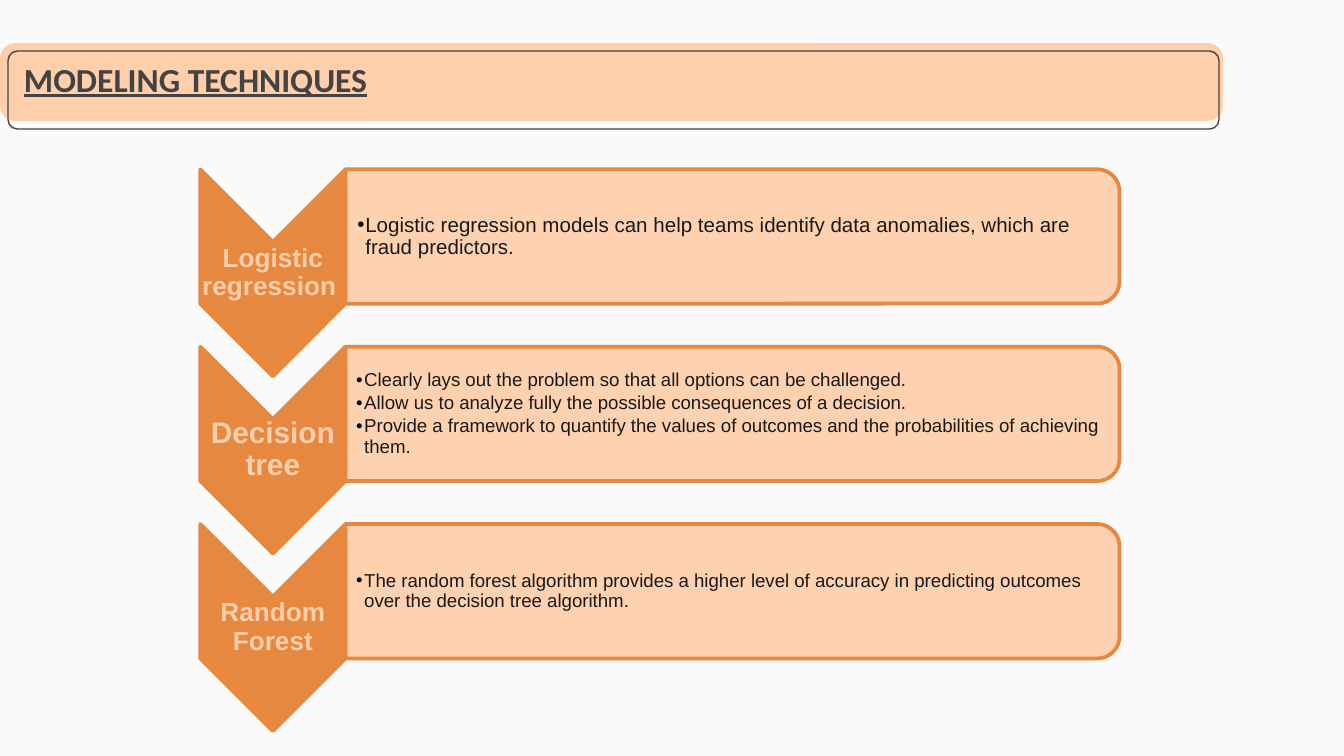
from dataclasses import dataclass

from lxml import etree
from pptx import Presentation
from pptx.dml.color import RGBColor
from pptx.enum.shapes import MSO_SHAPE as SHAPE
from pptx.enum.text import MSO_ANCHOR as ANCHOR, PP_ALIGN as ALIGN
from pptx.oxml.ns import qn
from pptx.util import Inches, Pt


@dataclass(frozen=True)
class Theme:
    background: str = "FAFAFA"
    peach: str = "FFCEAA"
    orange: str = "E78841"
    dark: str = "434343"
    body: str = "191919"
    bullet: str = "000000"
    title_font: str = "Calibri"
    body_font: str = "Arial"
    title_size: int = 18
    thin: float = 0.75
    thick: float = 2


T = Theme()

# Label, label size, bullet lines, bullet size
TECHNIQUES = [
    ("Logistic regression ", 14,
     ["Logistic regression models can help teams identify data anomalies, "
      "which are fraud predictors."], 11),
    ("Decision tree", 16,
     ["Clearly lays out the problem so that all options can be challenged.",
      "Allow us to analyze fully the possible consequences of a decision.",
      "Provide a framework to quantify the values of outcomes and the "
      "probabilities of achieving them."], 10),
    ("Random Forest", 14,
     ["The random forest algorithm provides a higher level of accuracy in "
      "predicting outcomes over the decision tree algorithm."], 10),
]


def rgb(color):
    return RGBColor.from_string(color)


def add_box(s, kind, x, y, w, h, fill=None, line=None, weight=T.thick, alpha=None):
    sp = s.shapes.add_shape(kind, Inches(x), Inches(y), Inches(w), Inches(h))
    sp.shadow.inherit = False
    if fill:
        sp.fill.solid()
        sp.fill.fore_color.rgb = rgb(fill)
    else:
        sp.fill.background()
    if alpha is not None:
        color = sp.fill._xPr.find(qn("a:solidFill"))[0]
        etree.SubElement(color, qn("a:alpha")).set("val", str(alpha * 1000))
    if line:
        sp.line.color.rgb = rgb(line)
        sp.line.width = Pt(weight)
    else:
        sp.line.fill.background()
    return sp


def add_turned(s, kind, x, y, w, h, **style):
    """Add a shape turned by 90 degrees that covers the given box."""
    sp = add_box(s, kind, x + (w - h) / 2, y + (h - w) / 2, h, w, **style)
    sp.rotation = 90
    return sp


def add_bullet(p, indent=0.06):
    pPr = p._p.get_or_add_pPr()
    pPr.set("marL", str(Inches(indent)))
    pPr.set("indent", str(-Inches(indent)))
    color = etree.SubElement(pPr, qn("a:buClr"))
    etree.SubElement(color, qn("a:srgbClr")).set("val", T.bullet)
    etree.SubElement(pPr, qn("a:buFont")).set("typeface", T.body_font)
    etree.SubElement(pPr, qn("a:buChar")).set("char", "•")


def add_text(s, lines, x, y, w, h, size, color, font=T.body_font, bold=False,
             underline=False, align=ALIGN.LEFT, spacing=0.9, after=0,
             inset=0.01, left=None, bullets=False):
    tf = s.shapes.add_textbox(Inches(x), Inches(y), Inches(w), Inches(h)).text_frame
    tf.word_wrap = True
    tf.vertical_anchor = ANCHOR.MIDDLE
    tf.margin_top = tf.margin_right = tf.margin_bottom = Inches(inset)
    tf.margin_left = Inches(inset if left is None else left)
    for i, line in enumerate(lines):
        p = tf.add_paragraph() if i else tf.paragraphs[0]
        p.alignment, p.line_spacing, p.space_after = align, spacing, Pt(after)
        if bullets:
            add_bullet(p)
        r = p.add_run()
        r.text = line
        r.font.name, r.font.size = font, Pt(size)
        r.font.bold, r.font.underline = bold, underline
        r.font.color.rgb = rgb(color)


def add_title(s, x, y, w, h, text):
    bar = add_box(s, SHAPE.ROUNDED_RECTANGLE, x, y, w, h, fill=T.peach)
    bar.adjustments[0] = 0.2
    frame = add_box(s, SHAPE.ROUNDED_RECTANGLE, x + 0.06, y + 0.06, w - 0.09, h,
                    line=T.dark, weight=T.thin)
    frame.adjustments[0] = 0.12
    add_text(s, [text], x + 0.08, y, 5.13, 0.53, T.title_size, T.dark,
             font=T.title_font, bold=True, underline=True, spacing=1, inset=0.1)


def add_technique(s, x, y, w, h, label, label_size, lines, size):
    arrow_w, panel_h = 1.08, 1
    panel_x, panel_w = x + arrow_w, w - arrow_w
    # Down-pointing chevron with its label
    add_turned(s, SHAPE.CHEVRON, x, y, arrow_w, h, fill=T.orange, line=T.orange)
    add_text(s, [label], x, y + (h - 0.46) / 2, arrow_w, 0.46, label_size, T.peach,
             bold=True, align=ALIGN.CENTER, inset=0)
    # Panel with bullets
    add_turned(s, SHAPE.ROUND_2_SAME_RECTANGLE, panel_x, y, panel_w, panel_h,
               fill=T.peach, line=T.orange, alpha=90)
    add_text(s, lines, panel_x, y + 0.05, panel_w - 0.04, panel_h - 0.1, size, T.body,
             after=0.15 * size, left=0.008 * size, bullets=True)


def main():
    prs = Presentation()
    prs.slide_width = Inches(10)
    prs.slide_height = prs.slide_width * 9 // 16
    s = prs.slides.add_slide(prs.slide_layouts[6])
    s.background.fill.solid()
    s.background.fill.fore_color.rgb = rgb(T.background)

    add_title(s, 0, 0.32, 9.1, 0.58, "MODELING TECHNIQUES")
    for i, technique in enumerate(TECHNIQUES):
        add_technique(s, 1.49, 1.26 + i * 1.32, 6.84, 1.54, *technique)
    prs.save("out.pptx")


if __name__ == "__main__":
    main()
